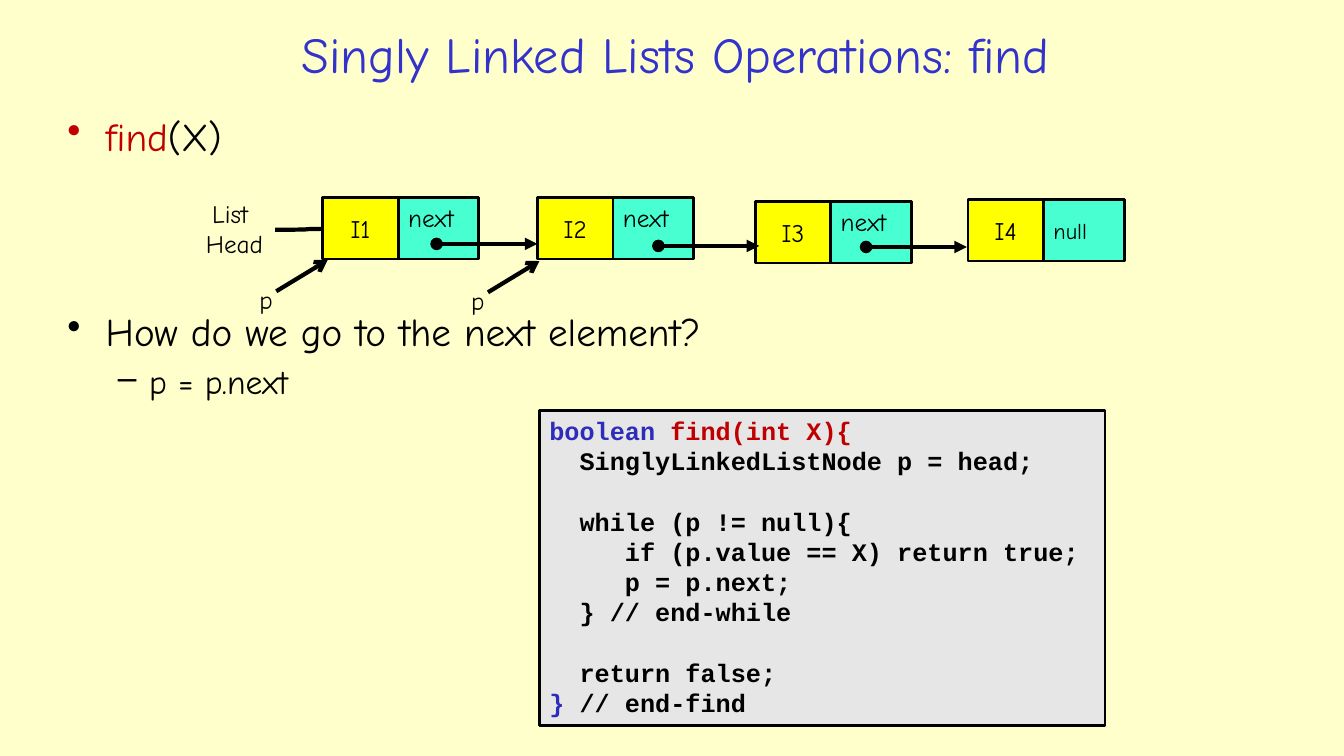
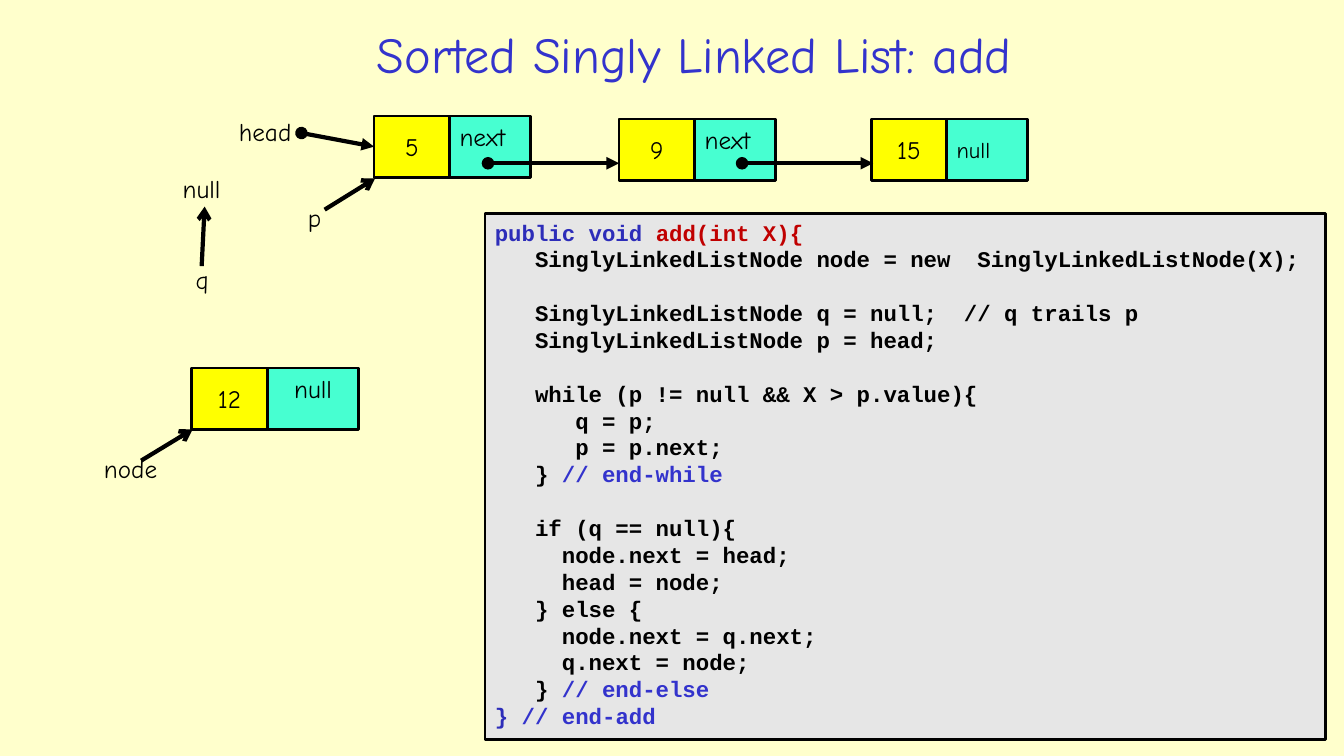
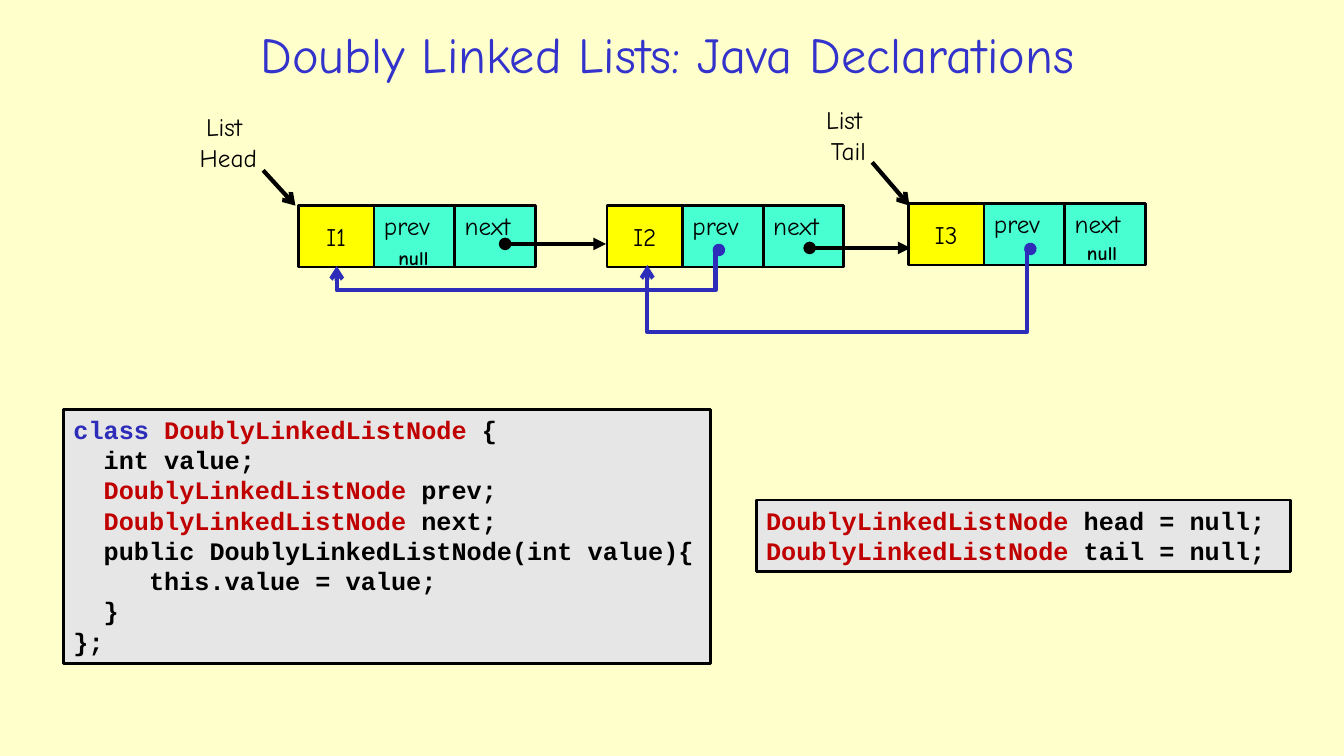
from lxml import etree
from pptx import Presentation
from pptx import util as u
from pptx.dml.color import RGBColor
from pptx.enum import shapes, text
from pptx.oxml.ns import qn

Inches, Pt = u.Inches, u.Pt
CREAM = RGBColor(0xFF, 0xFF, 0xCC)
BLUE = RGBColor(0x33, 0x33, 0xCC)
NAVY = RGBColor(0x2D, 0x2D, 0xB9)
RED = RGBColor(0xC0, 0x00, 0x00)
BLACK = RGBColor(0x00, 0x00, 0x00)
AQUA = RGBColor(0x47, 0xFF, 0xD1)
YELLOW = RGBColor(0xFF, 0xFF, 0x00)
GREY = RGBColor(0xE6, 0xE6, 0xE6)
HAND, MONO = "Comic Neue", "Courier New"
LEFT, CENTER = text.PP_ALIGN.LEFT, text.PP_ALIGN.CENTER
TOP, MIDDLE = text.MSO_ANCHOR.TOP, text.MSO_ANCHOR.MIDDLE
RECTANGLE = shapes.MSO_SHAPE.RECTANGLE
STRAIGHT = shapes.MSO_CONNECTOR.STRAIGHT
ELBOW = shapes.MSO_CONNECTOR.ELBOW
CURVE = shapes.MSO_CONNECTOR.CURVE
LINE_HEIGHT = 1.2


def write(frame, lines, size, font=HAND, align=LEFT, bold=False, anchor=TOP):
    """Fill a frame; a line is a string or (text, colour) runs, "" is a gap."""
    frame.vertical_anchor = anchor
    para, gap = None, 0
    for line in lines:
        if not line:
            gap += size * LINE_HEIGHT
            continue
        para = frame.add_paragraph() if para else frame.paragraphs[0]
        runs = [(line, BLACK)] if isinstance(line, str) else line
        para.alignment = align
        if font == MONO:
            para.line_spacing = Pt(size * LINE_HEIGHT)
        if gap:
            para.space_before = Pt(gap)
        gap = 0
        para.font.name, para.font.size, para.font.bold = font, Pt(size), bold
        para.font.color.rgb = runs[0][1]
        for words, colour in runs:
            span = para.add_run()
            span.text = words
            if colour != runs[0][1]:
                span.font.color.rgb = colour


def connect(page, kind, start, end, head=None, tail=None, colour=BLACK):
    ends = [Inches(value) for value in (*start, *end)]
    connector = page.shapes.add_connector(kind, *ends)
    connector.line.color.rgb = colour
    connector.line.width = Pt(3)
    outline = connector.line._get_or_add_ln()
    for tag, style in (("a:headEnd", head), ("a:tailEnd", tail)):
        if style:
            etree.SubElement(outline, qn(tag), type=style)
    etree.SubElement(connector._element.spPr, qn("a:effectLst"))
    return connector


deck = Presentation()
deck.slide_width, deck.slide_height = Inches(13.33), Inches(7.5)
background = deck.slide_master.background.fill
background.solid()
background.fore_color.rgb = CREAM

# Pages with titles
titles = [
    ("Singly Linked Lists Operations: find", 2.02, 9.36),
    ("Sorted Singly Linked List: add", 2.39, 8.99),
    ("Doubly Linked Lists: Java Declarations", 0.97, 11.3),
]
pages = []
for title, left, width in titles:
    page = deck.slides.add_slide(deck.slide_layouts[6])
    box = page.shapes.add_textbox(Inches(left), Inches(0.15), Inches(width), Inches(0.76))
    box.text_frame.word_wrap = True
    write(box.text_frame, [[(title, BLUE)]], 36, align=CENTER, anchor=MIDDLE)
    pages.append(page)
find_page, add_page, doubly_page = pages

# Bullets of the find page
box = find_page.shapes.add_textbox(Inches(0.57), Inches(1.06), Inches(12.42), Inches(3.65))
box.text_frame.word_wrap = True
write(box.text_frame, [[("find", RED), ("(X)", BLACK)],
                       "How do we go to the next element?", "p = p.next"], 28)
bullets = [("•", 0, 0.38, 0.38, 28, 0), ("•", 0, 0.38, 0.38, 28, 106),
           ("–", 1, 0.81, 0.31, 24, 4.8)]
for para, (mark, level, margin, hanging, size, before) in zip(box.text_frame.paragraphs, bullets):
    para.level = level
    para.font.size = Pt(size)
    if before:
        para.space_before = Pt(before)
    properties = para._p.get_or_add_pPr()
    properties.set("marL", str(Inches(margin)))
    properties.set("indent", str(-Inches(hanging)))
    bullet = etree.Element(qn("a:buChar"), char=mark)
    properties.find(qn("a:defRPr")).addprevious(bullet)

# The list head pointer runs behind the first node
connect(find_page, CURVE, (2.73, 2.28), (3.35, 2.27), tail="triangle")

# List nodes: a value cell, then link cells (text, size, width, align, anchor)
NEXT = ("next", 18, 0.8, LEFT, TOP)
PREV = ("prev", 18, 0.8, LEFT, TOP)
LAST = ("null", 16, 0.8, LEFT, MIDDLE)
LONE = ("null", 18, 0.91, CENTER, TOP)
nodes = [
    (find_page, 3.2, 1.96, "I1", [NEXT]),
    (find_page, 5.33, 1.96, "I2", [NEXT]),
    (find_page, 7.49, 2, "I3", [NEXT]),
    (find_page, 9.6, 1.98, "I4", [LAST]),
    (add_page, 3.71, 1.15, "5", [NEXT]),
    (add_page, 6.14, 1.18, "9", [NEXT]),
    (add_page, 8.64, 1.18, "15", [LAST]),
    (add_page, 1.9, 3.65, "12", [LONE]),
    (doubly_page, 2.96, 2.04, "I1", [PREV, NEXT]),
    (doubly_page, 6.02, 2.04, "I2", [PREV, NEXT]),
    (doubly_page, 9.01, 2.02, "I3", [PREV, NEXT]),
]
value_cells = {}
for page, left, top, value, links in nodes:
    for words, size, width, align, anchor in [(value, 18, 0.75, CENTER, MIDDLE), *links]:
        cell = page.shapes.add_shape(RECTANGLE, Inches(left), Inches(top),
                                     Inches(width), Inches(0.61))
        cell.shadow.inherit = False
        cell.fill.solid()
        cell.fill.fore_color.rgb = YELLOW if words == value else AQUA
        cell.line.color.rgb = BLACK
        cell.line.width = Pt(2)
        write(cell.text_frame, [words], size, align=align, anchor=anchor)
        if words == value:
            value_cells[page.slide_id, value] = cell
        left += width

# Links from node to node
for page, start, end in [
    (find_page, (4.33, 2.42), (5.33, 2.42)),
    (find_page, (6.53, 2.44), (7.53, 2.44)),
    (find_page, (8.59, 2.45), (9.59, 2.45)),
    (add_page, (4.84, 1.62), (6.14, 1.62)),
    (add_page, (7.36, 1.62), (8.66, 1.62)),
    (doubly_page, (5.01, 2.42), (6.01, 2.42)),
    (doubly_page, (8.03, 2.46), (9.03, 2.46)),
]:
    connect(page, STRAIGHT, start, end, "oval", "triangle")
head_link = connect(add_page, STRAIGHT, (2.99, 1.32), (3.71, 1.46), "oval", "triangle")
head_link.end_connect(value_cells[add_page.slide_id, "5"], 1)

# Pointers from labels
for page, start, end in [
    (find_page, (2.74, 2.89), (3.25, 2.58)),
    (find_page, (4.84, 2.9), (5.35, 2.59)),
    (add_page, (3.22, 2.08), (3.72, 1.77)),
    (add_page, (2, 2.64), (2.03, 2.05)),
    (add_page, (1.4, 4.57), (1.91, 4.26)),
    (doubly_page, (2.61, 1.69), (2.93, 2.04)),
    (doubly_page, (8.65, 1.61), (9.02, 2.04)),
]:
    connect(page, STRAIGHT, start, end, tail="arrow")

# Links back to the previous node, dropping below the nodes
for start, end, drop in [((7.13, 2.48), (3.34, 2.64), 251100),
                         ((10.22, 2.47), (6.42, 2.63), 515100)]:
    back_link = connect(doubly_page, ELBOW, start, end, "oval", "arrow", NAVY)
    geometry = back_link._element.spPr.find(qn("a:prstGeom"))
    geometry.set("prst", "bentConnector4")
    guides = geometry.find(qn("a:avLst"))
    if guides is None:
        guides = etree.SubElement(geometry, qn("a:avLst"))
    for name, amount in (("adj1", 900), ("adj2", drop)):
        etree.SubElement(guides, qn("a:gd"), name=name, fmla=f"val {amount}")

# Labels
for page, lines, left, top, width, size in [
    (find_page, ["List ", "Head"], 1.92, 1.92, 0.81, 18),
    (find_page, ["p"], 2.47, 2.77, 0.34, 18),
    (find_page, ["p"], 4.57, 2.78, 0.34, 18),
    (add_page, ["head"], 2.25, 1.11, 0.76, 18),
    (add_page, ["null"], 1.7, 1.67, 0.6, 18),
    (add_page, ["p"], 2.95, 1.96, 0.34, 18),
    (add_page, ["q"], 1.84, 2.57, 0.33, 18),
    (add_page, ["node"], 0.92, 4.45, 0.75, 18),
    (doubly_page, ["List ", "Head"], 1.86, 1.06, 0.81, 18),
    (doubly_page, ["List ", "Tail"], 8.05, 0.99, 0.73, 18),
    (doubly_page, ["null"], 3.84, 2.39, 0.52, 14),
    (doubly_page, ["null"], 10.67, 2.34, 0.52, 14),
]:
    height = 0.1 + len(lines) * size * LINE_HEIGHT / 72
    box = page.shapes.add_textbox(Inches(left), Inches(top), Inches(width), Inches(height))
    box.text_frame.word_wrap = False
    write(box.text_frame, lines, size, align=CENTER, bold=size < 18)

# Code panels
find_code = [
    [("boolean ", NAVY), ("find(int X){", RED)],
    "  SinglyLinkedListNode p = head;",
    "",
    "  while (p != null){",
    "     if (p.value == X) return true;",
    "     p = p.next;",
    "  } // end-while",
    "",
    "  return false;",
    [("} ", NAVY), ("// end-find", BLACK)],
]
add_code = [
    [("public void ", NAVY), ("add(int X){", RED)],
    "   SinglyLinkedListNode node = new  SinglyLinkedListNode(X);",
    "",
    "   SinglyLinkedListNode q = null;  // q trails p",
    "   SinglyLinkedListNode p = head;",
    "",
    "   while (p != null && X > p.value){",
    "      q = p;",
    "      p = p.next;",
    [("   } ", BLACK), ("// end-while", BLUE)],
    "",
    "   if (q == null){",
    "     node.next = head;",
    "     head = node;",
    "   } else {",
    "     node.next = q.next;",
    "     q.next = node;",
    [("   } ", BLACK), ("// end-else", BLUE)],
    [("} ", NAVY), ("// end-add", BLUE)],
]
class_code = [
    [("class ", NAVY), ("DoublyLinkedListNode", RED), (" {", BLACK)],
    "  int value;",
    [("  DoublyLinkedListNode ", RED), ("prev;", BLACK)],
    [("  DoublyLinkedListNode", RED), (" next;", BLACK)],
    "  public DoublyLinkedListNode(int value){",
    "     this.value = value;",
    "  }",
    "};",
]
ends_code = [[("DoublyLinkedListNode ", RED), (f"{end} = null;", BLACK)]
             for end in ("head", "tail")]
for page, code, size, area in [
    (find_page, find_code, 18, (5.35, 4.07, 5.61, 3.13)),
    (add_page, add_code, 16, (4.81, 2.12, 8.34, 5.22)),
    (doubly_page, class_code, 18, (0.63, 4.06, 6.42, 2.52)),
    (doubly_page, ends_code, 18, (7.5, 4.96, 5.3, 0.71)),
]:
    panel = page.shapes.add_shape(RECTANGLE, *[Inches(value) for value in area])
    panel.shadow.inherit = False
    panel.fill.solid()
    panel.fill.fore_color.rgb = GREY
    panel.line.color.rgb = BLACK
    panel.line.width = Pt(2)
    panel.text_frame.word_wrap = True
    write(panel.text_frame, code, size, MONO, bold=True)

deck.save("out.pptx")
